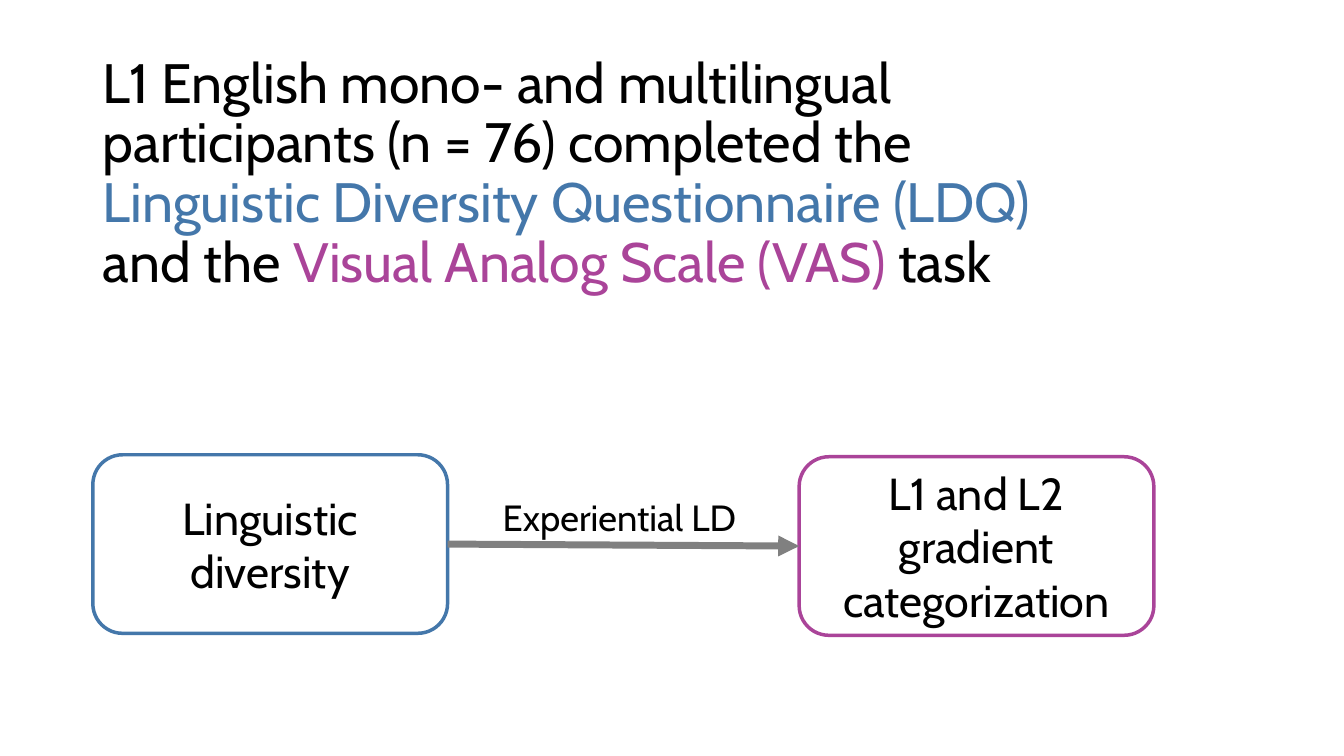
import pptx
import pptx.dml.color
import pptx.enum.shapes
import pptx.enum.text
import pptx.oxml
import pptx.oxml.ns
import pptx.util
from pptx.util import Cm, Pt

BLACK, WHITE, GREY, BLUE, PURPLE = "000000", "FFFFFF", "808080", "4477AA", "AA4499"
FONT = "Cabin"
ALIGN = pptx.enum.text.PP_ALIGN
MIDDLE = pptx.enum.text.MSO_ANCHOR.MIDDLE
NO_FIT = pptx.enum.text.MSO_AUTO_SIZE.NONE

TITLE = [
    ("L1 English mono- and multilingual participants (n = 76) completed the ", BLACK),
    ("Linguistic Diversity Questionnaire (LDQ) ", BLUE),
    ("and the ", BLACK),
    ("Visual Analog Scale (VAS) ", PURPLE),
    ("task", BLACK),
]
TITLE_BOX = (2.34, 3.33, 25.55, 3.68)
BOX_SIZE = (8.94, 4.5)
BOXES = [  # text, outline, left, top
    ("Linguistic diversity", BLUE, 2.34, 11.46),
    ("L1 and L2 gradient categorization", PURPLE, 20.14, 11.51),
]
ARROW_LABEL = "Experiential LD"
LABEL_BOX = (12.42, 12.34, 6.53, 1.37)


def rgb(value):
    return pptx.dml.color.RGBColor.from_string(value)


def assign(obj, formats):
    for name, value in formats.items():
        setattr(obj, name, value)


def write(tf, runs, size, frame, para):
    """Fill the first paragraph of a text frame with coloured runs."""
    assign(tf, frame)
    p = tf.paragraphs[0]
    assign(p, para)
    for text, color in runs:
        r = p.add_run()
        r.text = text
        assign(r.font, {"name": FONT, "size": Pt(size)})
        r.font.color.rgb = rgb(color)


def add_box(s, text, outline, left, top):
    sp = s.shapes.add_shape(pptx.enum.shapes.MSO_SHAPE.ROUNDED_RECTANGLE,
                            *map(Cm, (left, top, *BOX_SIZE)))
    sp.shadow.inherit = False
    sp.fill.solid()
    sp.fill.fore_color.rgb = rgb(WHITE)
    sp.line.color.rgb = rgb(outline)
    sp.line.width = Pt(2.5)
    write(sp.text_frame, [(text, BLACK)], 32,
          {"word_wrap": True, "vertical_anchor": MIDDLE}, {"alignment": ALIGN.CENTER})
    return sp


def add_arrow(s, start, end):
    """Join the right side of one box to the left side of another."""
    line = s.shapes.add_connector(pptx.enum.shapes.MSO_CONNECTOR.STRAIGHT, 0, 0, 0, 0)
    line.begin_connect(start, 3)
    line.end_connect(end, 1)
    line.line.color.rgb = rgb(GREY)
    line.line.width = Pt(5)
    ns = pptx.oxml.ns.nsdecls("a")
    ln = line.line._get_or_add_ln()
    ln.append(pptx.oxml.parse_xml(f'<a:tailEnd {ns} type="triangle"/>'))
    ln.addnext(pptx.oxml.parse_xml(f"<a:effectLst {ns}/>"))


def main():
    prs = pptx.Presentation()
    prs.slide_width, prs.slide_height = Cm(33.87), Cm(19.05)
    s = prs.slides.add_slide(prs.slide_layouts[5])

    title = s.shapes.title
    assign(title, dict(zip(("left", "top", "width", "height"), map(Cm, TITLE_BOX))))
    write(title.text_frame, TITLE, 39.6,
          {"word_wrap": True, "auto_size": NO_FIT, "vertical_anchor": MIDDLE,
           "margin_bottom": Cm(1.65)},
          {"alignment": ALIGN.LEFT, "line_spacing": 0.9})

    start, end = [add_box(s, *box) for box in BOXES]
    add_arrow(s, start, end)

    label = s.shapes.add_textbox(*map(Cm, LABEL_BOX))
    write(label.text_frame, [(ARROW_LABEL, BLACK)], 26,
          {"word_wrap": False, "auto_size": pptx.enum.text.MSO_AUTO_SIZE.SHAPE_TO_FIT_TEXT},
          {"alignment": ALIGN.LEFT})

    prs.save("out.pptx")


if __name__ == "__main__":
    main()
